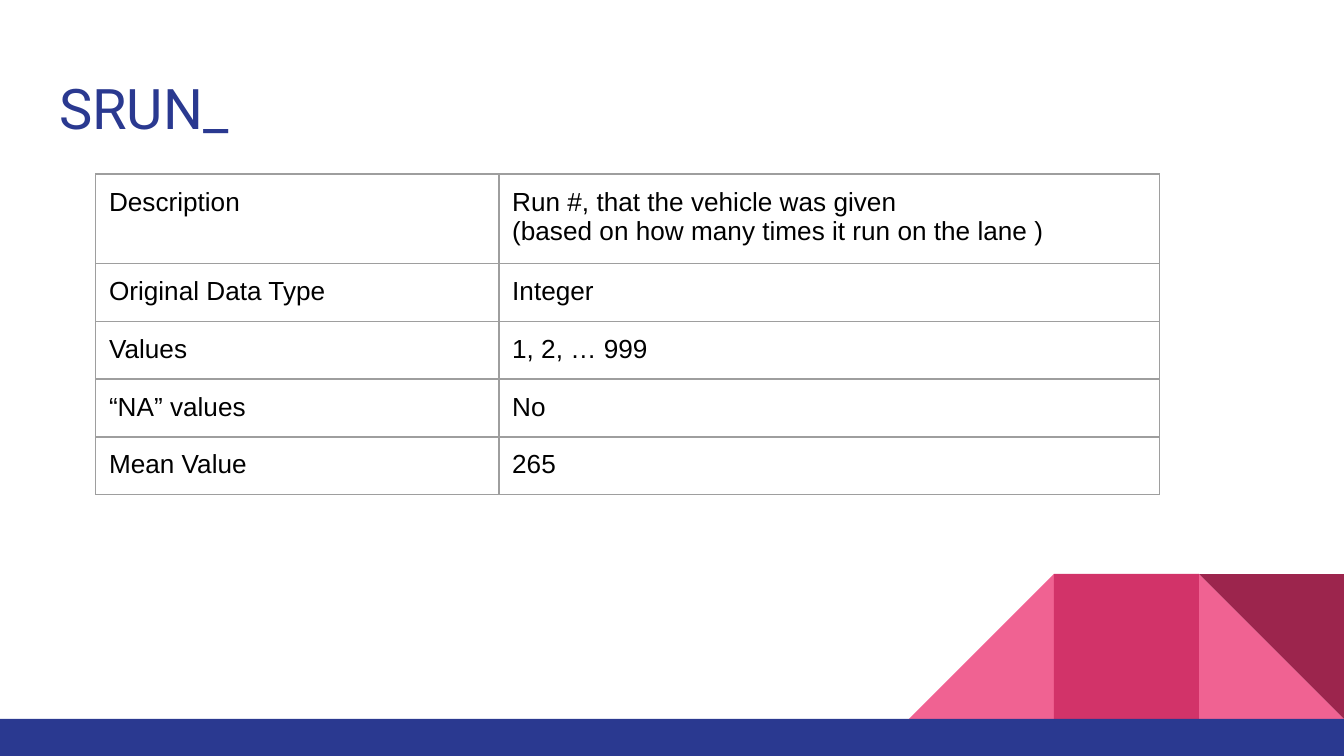
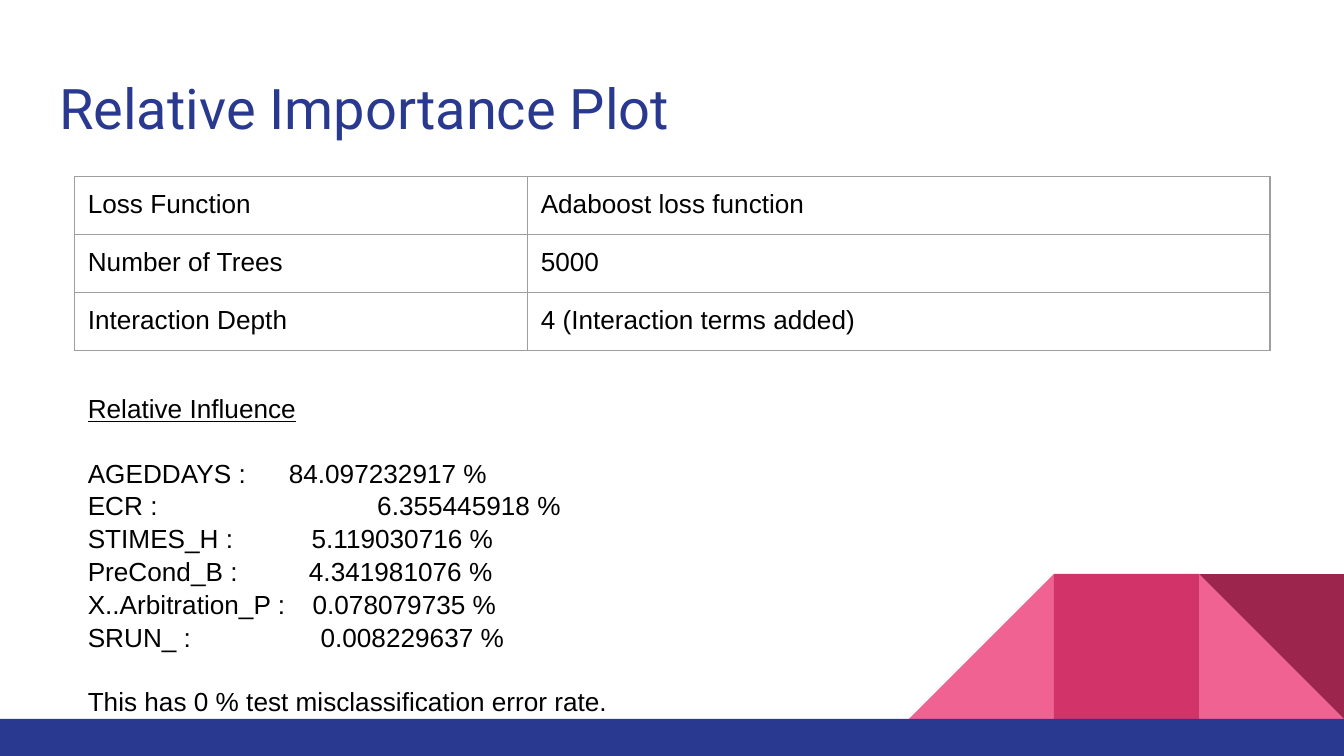
from lxml import etree
from pptx import Presentation
from pptx.dml.color import RGBColor
from pptx.enum.shapes import MSO_SHAPE
from pptx.oxml.ns import qn
from pptx.util import Cm, Pt

RECT = MSO_SHAPE.RECTANGLE
TRIANGLE = MSO_SHAPE.RIGHT_TRIANGLE

COLORS = {
    "navy": "2A3990",
    "pink": "F06292",
    "rose": "D23369",
    "wine": "9C254D",
    "grid": "9E9E9E",
    "text": "000000",
}
TITLE = {"name": "Roboto", "size": Pt(30), "color": "navy"}
BODY = {"name": "Arial", "size": Pt(14), "color": "text"}
HEADING = {**BODY, "underline": True}

WIDTH, HEIGHT = 25.4, 14.29
FOOTER_TOP = 13.59
TILE = 2.74
INSET = Cm(0.25)
LINE_SPACING = 1.05
BLANK_LINE = Pt(16.9)

SRUN_ROWS = [
    ("Description", "Run #, that the vehicle was given\n"
                    "(based on how many times it run on the lane )"),
    ("Original Data Type", "Integer"),
    ("Values", "1, 2, … 999"),
    ("“NA” values", "No"),
    ("Mean Value", "265"),
]
MODEL_ROWS = [
    ("Loss Function", "Adaboost loss function"),
    ("Number of Trees", "5000"),
    ("Interaction Depth", "4 (Interaction terms added)"),
]
INFLUENCES = [
    ("AGEDDAYS :", "84.097232917 %", 3.8),
    ("ECR :", "6.355445918 %", 5.47),
    ("STIMES_H :", "5.119030716 %", 4.23),
    ("PreCond_B :", "4.341981076 %", 4.18),
    ("X..Arbitration_P :", "0.078079735 %", 4.25),
    ("SRUN_ :", "0.008229637 %", 4.4),
]


def rgb(name):
    return RGBColor.from_string(COLORS[name])


def style(font, fmt):
    for key, value in fmt.items():
        if key == "color":
            font.color.rgb = rgb(value)
        else:
            setattr(font, key, value)


def set_insets(target):
    for side in ("left", "right", "top", "bottom"):
        setattr(target, f"margin_{side}", INSET)


def add_block(slide, shape, x, y, w, h, color, rotation=0):
    sp = slide.shapes.add_shape(shape, Cm(x), Cm(y), Cm(w), Cm(h))
    sp.shadow.inherit = False
    sp.fill.solid()
    sp.fill.fore_color.rgb = rgb(color)
    sp.line.fill.background()
    sp.rotation = rotation


def add_text_box(slide, x, y, w, h):
    tf = slide.shapes.add_textbox(Cm(x), Cm(y), Cm(w), Cm(h)).text_frame
    tf.word_wrap = True
    set_insets(tf)
    return tf


def add_base_slide(prs, title):
    slide = prs.slides.add_slide(prs.slide_layouts[6])
    tiles = [
        (TRIANGLE, 1, "pink", 0),
        (TRIANGLE, 3, "pink", 270),
        (RECT, 2, "rose", 0),
        (TRIANGLE, 1, "wine", 180),
    ]
    for shape, column, color, rotation in tiles:
        add_block(slide, shape, WIDTH - column * TILE, FOOTER_TOP - TILE,
                  TILE, TILE, color, rotation)
    add_block(slide, RECT, 0, FOOTER_TOP, WIDTH, HEIGHT - FOOTER_TOP, "navy")
    p = add_text_box(slide, 0.87, 1.15, 23.67, 1.68).paragraphs[0]
    p.text = title
    style(p.runs[0].font, TITLE)
    return slide


def add_borders(cell):
    tc_pr = cell._tc.get_or_add_tcPr()
    for position, side in enumerate(("lnL", "lnR", "lnT", "lnB")):
        ln = etree.Element(qn(f"a:{side}"), w=str(Pt(0.75)))
        fill = etree.SubElement(ln, qn("a:solidFill"))
        etree.SubElement(fill, qn("a:srgbClr"), val=COLORS["grid"])
        tc_pr.insert(position, ln)


def add_grid(slide, rows, x, y, widths, heights):
    table = slide.shapes.add_table(
        len(rows), len(widths), Cm(x), Cm(y),
        Cm(sum(widths)), Cm(sum(heights))).table
    table.first_row = table.horz_banding = False
    for column, width in zip(table.columns, widths):
        column.width = Cm(width)
    for row, height, texts in zip(table.rows, heights, rows):
        row.height = Cm(height)
        for cell, text in zip(row.cells, texts):
            cell.text = text
            cell.fill.background()
            set_insets(cell)
            add_borders(cell)
            for p in cell.text_frame.paragraphs:
                style(p.runs[0].font, BODY)


def add_line(tf, text, fmt=BODY, gap=None, tab=None):
    p = tf.add_paragraph() if tf.text else tf.paragraphs[0]
    p.line_spacing = LINE_SPACING
    if gap:
        p.space_before = gap
    if tab:
        tabs = etree.SubElement(p._p.get_or_add_pPr(), qn("a:tabLst"))
        etree.SubElement(tabs, qn("a:tab"), pos=str(Cm(tab)), algn="l")
    r = p.add_run()
    r.text = text
    style(r.font, fmt)


def add_srun_slide(prs):
    slide = add_base_slide(prs, "SRUN_")
    add_grid(slide, SRUN_ROWS, 1.81, 3.29, (7.62, 12.48),
             [1.6] + [1.07] * 4)


def add_importance_slide(prs):
    slide = add_base_slide(prs, "Relative Importance Plot")
    add_grid(slide, MODEL_ROWS, 1.41, 3.34, (8.56, 14.03), [1.09] * 3)
    tf = add_text_box(slide, 1.41, 7.14, 15.11, 5.66)
    add_line(tf, "Relative Influence", HEADING)
    for i, (label, value, tab) in enumerate(INFLUENCES):
        add_line(tf, f"{label}\t{value}", gap=None if i else BLANK_LINE,
                 tab=tab)
    add_line(tf, "This has 0 % test misclassification error rate.",
             gap=BLANK_LINE)


def main():
    prs = Presentation()
    prs.slide_width, prs.slide_height = Cm(WIDTH), Cm(HEIGHT)
    add_srun_slide(prs)
    add_importance_slide(prs)
    prs.save("out.pptx")


if __name__ == "__main__":
    main()
